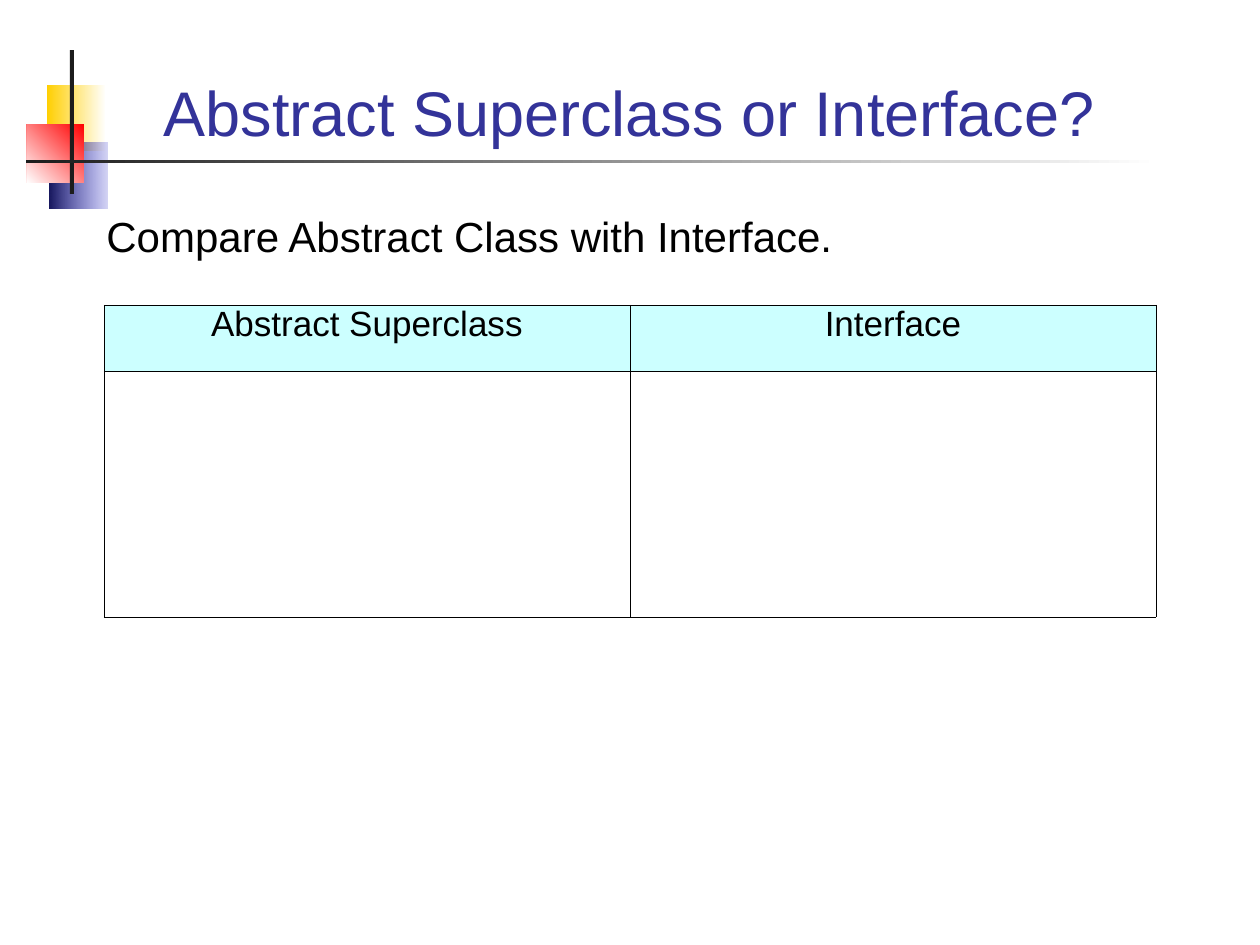
from lxml.etree import SubElement
from pptx import Presentation
from pptx.dml.color import RGBColor
from pptx.enum.shapes import MSO_SHAPE
from pptx.enum.text import MSO_ANCHOR, MSO_AUTO_SIZE, PP_ALIGN
from pptx.oxml import parse_xml
from pptx.oxml.ns import nsdecls, qn
from pptx.util import Pt

SCALE = 914400 / 126
FONT = "Arial"
WHITE = RGBColor(0xFF, 0xFF, 0xFF)
BLACK = RGBColor(0x00, 0x00, 0x00)
INK = RGBColor(0x1C, 0x1C, 0x1C)
YELLOW = RGBColor(0xFF, 0xCF, 0x01)
RED = RGBColor(0xFF, 0x00, 0x00)
BLUE = RGBColor(0x33, 0x33, 0xCC)
NAVY = RGBColor(0x17, 0x17, 0x5E)
TITLE_BLUE = RGBColor(0x33, 0x33, 0x99)
PALE_CYAN = RGBColor(0xCC, 0xFF, 0xFF)


def px(length):
    return round(length * SCALE)


def write(frame, text, size, color, align=PP_ALIGN.LEFT):
    frame.text = text
    para = frame.paragraphs[0]
    para.alignment = align
    font = para.runs[0].font
    font.name, font.size, font.bold = FONT, Pt(size), False
    font.color.rgb = color
    return para


def add_block(page, box, colors, angle=180, start_alpha=None):
    """Borderless rectangle: one colour is solid, two make a gradient."""
    block = page.shapes.add_shape(MSO_SHAPE.RECTANGLE, *map(px, box))
    block.shadow.inherit = False
    block.line.fill.background()
    if len(colors) == 1:
        block.fill.solid()
        block.fill.fore_color.rgb = colors[0]
        return
    block.fill.gradient()
    block.fill.gradient_angle = angle
    for stop, color, position in zip(block.fill.gradient_stops, colors, (0, 1)):
        stop.color.rgb = color
        stop.position = position
    if start_alpha:
        first_color = next(block.fill._xPr.iter(qn("a:srgbClr")))
        SubElement(first_color, qn("a:alpha"), val=str(start_alpha * 1000))


def add_ornament(page, left, top):
    # Three overlapping squares
    add_block(page, (left + 21, top + 35, 59, 66), (WHITE, YELLOW))
    add_block(page, (left + 23, top + 93, 58, 66), (BLUE, NAVY), start_alpha=20)
    add_block(page, (left + 1, top + 74, 57, 59), (RED, WHITE), angle=225)
    # Crossing bars
    add_block(page, (left + 44, top, 4, 144), (INK,))
    add_block(page, (left, top + 110, 1133, 3), (WHITE, INK))


def add_title(page, left, top, width, height):
    title = page.shapes.title
    title.left, title.top, title.width, title.height = map(
        px, (left, top, width, height))
    frame = title.text_frame
    write(frame, "Abstract Superclass or Interface?", 36, TITLE_BLUE,
          PP_ALIGN.CENTER)
    frame.vertical_anchor = MSO_ANCHOR.BOTTOM
    frame.auto_size = MSO_AUTO_SIZE.NONE


def add_prompt(page, left, top, width, height):
    box = page.shapes.add_textbox(*map(px, (left, top, width, height)))
    box.text_frame.word_wrap = True
    write(box.text_frame, "Compare Abstract Class with Interface.", 24, BLACK)


def add_borders(cell):
    properties = cell._tc.get_or_add_tcPr()
    for side in ("lnL", "lnR", "lnT", "lnB"):
        properties.append(parse_xml(
            f'<a:{side} {nsdecls("a")} w="762"><a:solidFill>'
            f'<a:srgbClr val="{BLACK}"/></a:solidFill></a:{side}>'))


def add_comparison(page, left, top, width, row_heights):
    headings = ("Abstract Superclass", "Interface")
    frame = page.shapes.add_table(
        len(row_heights), len(headings),
        *map(px, (left, top, width, sum(row_heights))))
    table = frame.table
    table.first_row = table.horz_banding = False
    for column in table.columns:
        column.width = px(width / len(headings))
    for row, height in zip(table.rows, row_heights):
        row.height = px(height)
    for cell in table.iter_cells():
        add_borders(cell)
        cell.fill.background()
    # Heading row
    for cell, heading in zip(table.rows[0].cells, headings):
        cell.fill.solid()
        cell.fill.fore_color.rgb = PALE_CYAN
        para = write(cell.text_frame, heading, 20, BLACK, PP_ALIGN.CENTER)
        para.line_spacing = 0.81


def main():
    deck = Presentation()
    deck.slide_width, deck.slide_height = px(1260), px(945)
    page = deck.slides.add_slide(deck.slide_layouts[5])
    add_ornament(page, 26, 50)
    add_title(page, 84, 35, 1091, 120)
    add_prompt(page, 94, 204, 1072, 63)
    add_comparison(page, 104, 305, 1052, (66, 246))
    deck.save("out.pptx")


if __name__ == "__main__":
    main()
